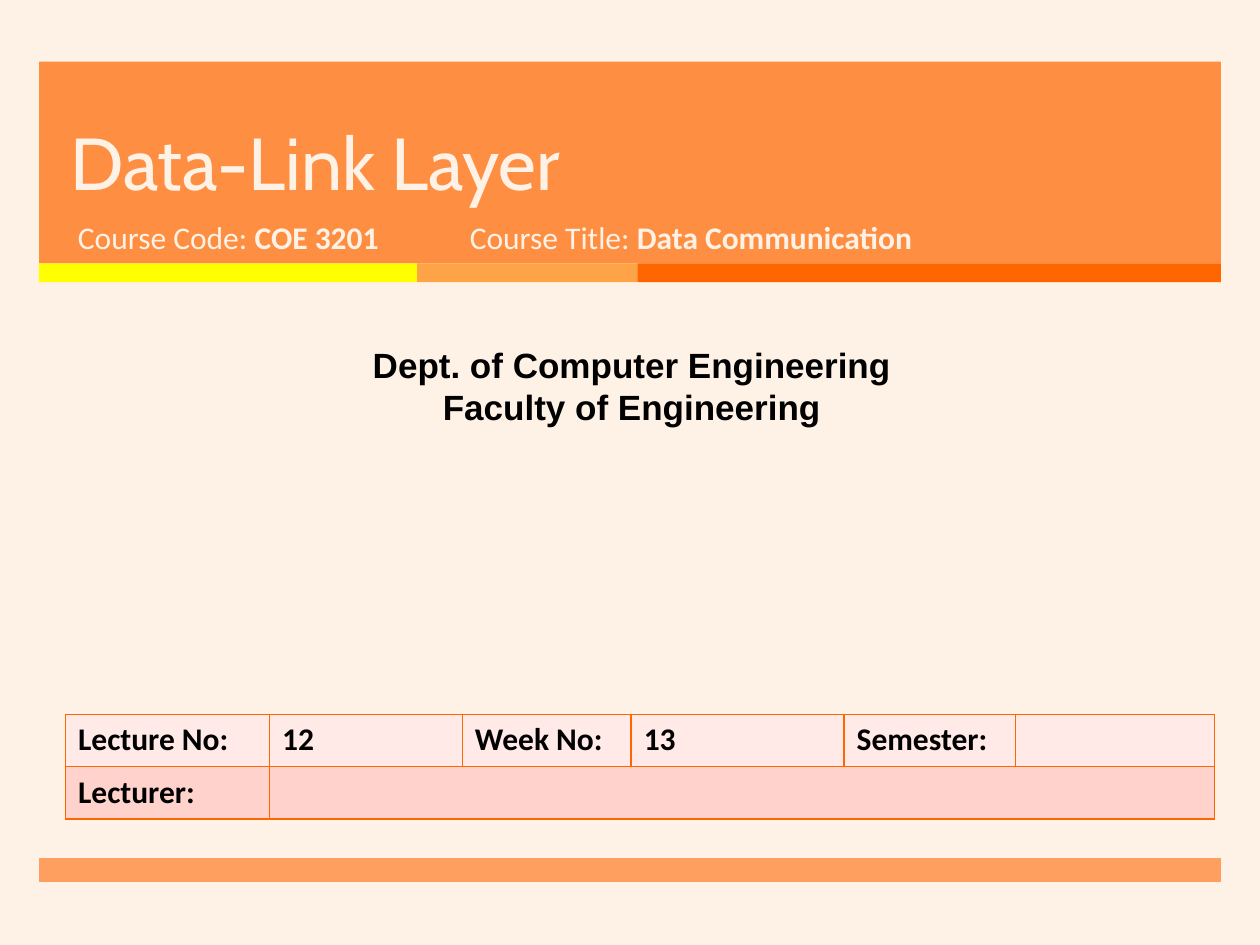
from dataclasses import dataclass

from lxml.etree import SubElement
from pptx import Presentation
from pptx.dml.color import RGBColor
from pptx.enum.shapes import MSO_SHAPE
from pptx.enum.text import MSO_ANCHOR, PP_ALIGN
from pptx.oxml.ns import qn
from pptx.util import Inches, Pt


@dataclass(frozen=True)
class Theme:
    """Colours, fonts and type sizes of the slide."""
    cream: str = "FEF2E6"
    orange: str = "FF7D26"
    yellow: str = "FFFF00"
    amber: str = "FFA347"
    deep_orange: str = "FF6600"
    black: str = "000000"
    row_fills: tuple = ("FFEAE7", "FFD3CC")
    title_font: str = "Cabin"
    body_font: str = "Calibri"
    department_font: str = "Arial"
    title_size: int = 42
    department_size: int = 20
    body_size: int = 18


THEME = Theme()


def rgb(colour):
    """Turn a hex string into a colour."""
    return RGBColor.from_string(colour)


def style(paragraph, name, size, colour, bold=None):
    """Set the font of a whole paragraph."""
    font = paragraph.font
    font.name, font.size, font.bold = name, Pt(size), bold
    font.color.rgb = rgb(colour)


def add_bar(slide, left, top, width, height, colour, opacity=100):
    """Add a borderless bar with an opacity in percent."""
    bar = slide.shapes.add_shape(
        MSO_SHAPE.RECTANGLE, Inches(left), Inches(top), Inches(width), Inches(height))
    bar.shadow.inherit = False
    bar.fill.solid()
    bar.fill.fore_color.rgb = rgb(colour)
    bar.line.fill.background()
    if opacity < 100:
        tint = bar._element.spPr.find(qn("a:solidFill")).find(qn("a:srgbClr"))
        SubElement(tint, qn("a:alpha"), val=str(opacity * 1000))


def add_text_frame(slide, left, top, width, height):
    """Add a wrapping text box and return its text frame."""
    box = slide.shapes.add_textbox(
        Inches(left), Inches(top), Inches(width), Inches(height))
    box.text_frame.word_wrap = True
    return box.text_frame


def add_title(slide, title):
    """Add the lecture title above the course details."""
    frame = add_text_frame(slide, 0.46, 0.49, 8.54, 1.19)
    frame.vertical_anchor = MSO_ANCHOR.BOTTOM
    heading = frame.paragraphs[0]
    heading.text = title
    heading.line_spacing = Pt(46)
    style(heading, THEME.title_font, THEME.title_size, THEME.cream)


def add_course_detail(slide, left, width, label, value):
    """Add a label followed by its value in bold."""
    detail = add_text_frame(slide, left, 1.68, width, 0.53).paragraphs[0]
    style(detail, THEME.body_font, THEME.body_size, THEME.cream)
    detail.add_run().text = label
    bold_value = detail.add_run()
    bold_value.text = value
    bold_value.font.bold = True


def add_department(slide, *lines):
    """Add the centred department lines."""
    frame = add_text_frame(slide, 0.08, 2.68, 9.87, 0.77)
    frame.text = "\n".join(lines)
    for line in frame.paragraphs:
        line.alignment = PP_ALIGN.CENTER
        style(line, THEME.department_font, THEME.department_size, THEME.black, True)


def add_cell_borders(cell):
    """Draw a thin line on each side, ahead of the cell's fill."""
    properties = cell._tc.get_or_add_tcPr()
    for position, side in enumerate(("lnL", "lnR", "lnT", "lnB")):
        border = SubElement(properties, qn(f"a:{side}"), w=str(Pt(1)))
        SubElement(SubElement(border, qn("a:solidFill")), qn("a:srgbClr"),
                   val=THEME.deep_orange)
        properties.insert(position, border)


def add_lecture_table(slide, rows, column_widths, row_height):
    """Add the lecture details, with the lecturer's name across the last row."""
    table = slide.shapes.add_table(
        len(rows), len(column_widths), Inches(0.52), Inches(5.67),
        Inches(sum(column_widths)), Inches(row_height * len(rows))).table
    for column, width in zip(table.columns, column_widths):
        column.width = Inches(width)
    for row, entries, fill in zip(table.rows, rows, THEME.row_fills):
        for cell, entry in zip(row.cells, entries):
            cell.text = entry
            style(cell.text_frame.paragraphs[0], THEME.body_font, THEME.body_size,
                  THEME.black, True)
            cell.fill.solid()
            cell.fill.fore_color.rgb = rgb(fill)
            add_cell_borders(cell)
    table.cell(1, 1).merge(table.cell(1, len(column_widths) - 1))


def main():
    """Build the lecture's title slide."""
    presentation = Presentation()
    presentation.slide_width, presentation.slide_height = Inches(10), Inches(7.5)
    slide = presentation.slides.add_slide(presentation.slide_layouts[6])
    slide.background.fill.solid()
    slide.background.fill.fore_color.rgb = rgb(THEME.cream)

    margin, banner_width = 0.31, 9.38
    add_bar(slide, margin, 0.49, banner_width, 1.6, THEME.orange, 85)
    stripe_left = margin
    for width, colour in ((3, THEME.yellow), (1.75, THEME.amber),
                          (4.63, THEME.deep_orange)):
        add_bar(slide, stripe_left, 2.09, width, 0.15, colour)
        stripe_left += width
    add_bar(slide, margin, 6.81, banner_width, 0.19, THEME.orange, 70)

    add_title(slide, "Data-Link Layer")
    add_course_detail(slide, 0.52, 3.05, "Course Code: ", "COE 3201")
    add_department(slide, "Dept. of Computer Engineering", "Faculty of Engineering")
    add_lecture_table(
        slide,
        (("Lecture No:", "12", "Week No:", "13", "Semester:", ""),
         ("Lecturer:", "", "", "", "", "")),
        (1.62, 1.53, 1.34, 1.69, 1.36, 1.58), 0.415)
    add_course_detail(slide, 3.63, 4.55, "Course Title: ", "Data Communication")
    presentation.save("out.pptx")


if __name__ == "__main__":
    main()
